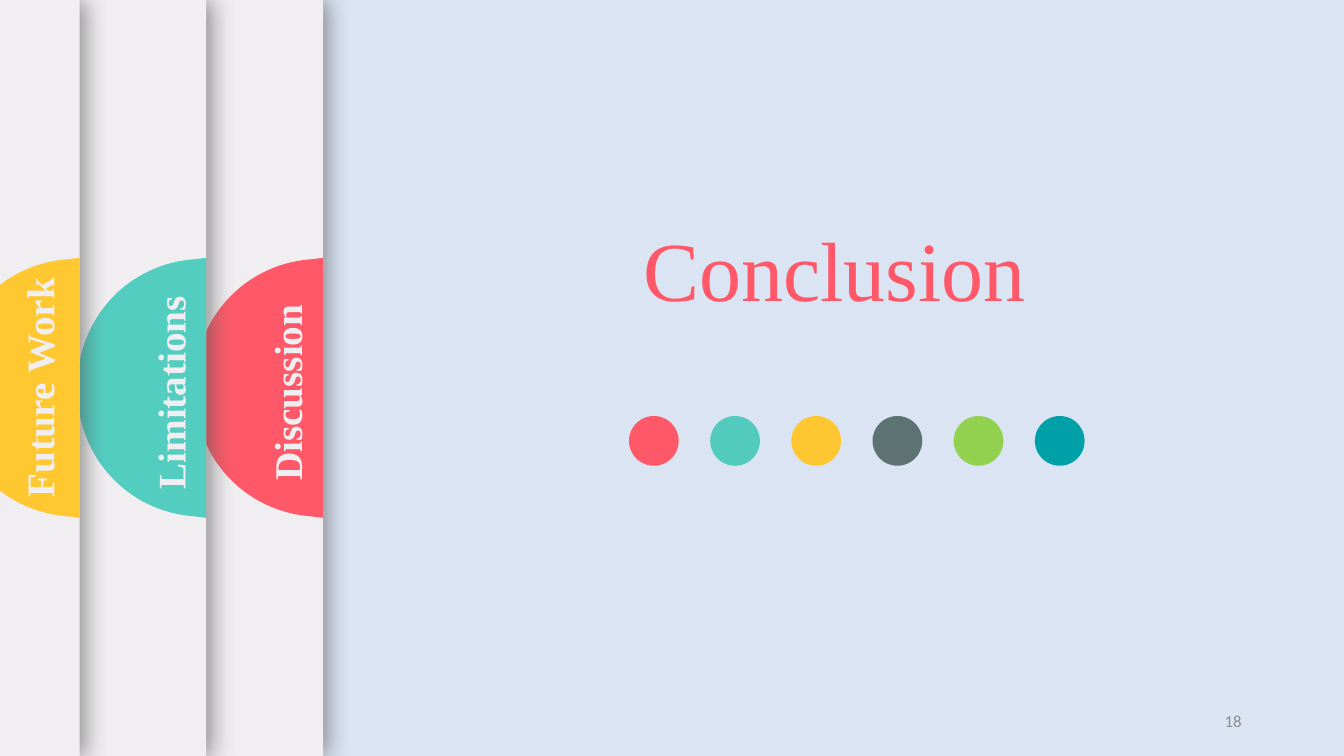
from dataclasses import dataclass

from lxml.etree import SubElement
from pptx import Presentation
from pptx.dml.color import RGBColor
from pptx.enum.shapes import MSO_SHAPE
from pptx.enum.text import MSO_ANCHOR, MSO_AUTO_SIZE, PP_ALIGN
from pptx.oxml.ns import qn
from pptx.shapes.autoshape import Shape
from pptx.shapes.shapetree import GroupShapes, SlideShapes
from pptx.util import Inches, Length, Pt

SLIDE_WIDTH, SLIDE_HEIGHT = Inches(13.333), Inches(7.5)


@dataclass(frozen=True)
class Theme:
    background: str = "DBE4F3"
    panel: str = "F0EEF0"
    shadow: str = "595959"
    title: str = "FF5969"
    page_number: str = "8C8C8C"
    dots: tuple[str, ...] = ("FF5969", "52CBBE", "FEC630", "5D7373", "92D050", "00A0A8")
    heading_font: str = "Times New Roman"
    number_font: str = "Calibri"
    title_size: int = 60
    label_size: int = 28
    number_size: int = 12


@dataclass(frozen=True)
class Box:
    """Left and width in percent of slide width, top and height in percent of its height."""
    left: float
    top: float
    width: float
    height: float

    def emu(self) -> tuple[Length, Length, Length, Length]:
        return across(self.left), down(self.top), across(self.width), down(self.height)


@dataclass(frozen=True)
class TextStyle:
    font: str
    size: int
    color: str
    align: PP_ALIGN = PP_ALIGN.CENTER
    bold: bool = False


@dataclass(frozen=True)
class Panel:
    label: str
    color: str
    right: float
    width: float
    label_inset: float
    label_length: float


THEME = Theme()
TITLE_STYLE = TextStyle(THEME.heading_font, THEME.title_size, THEME.title)
LABEL_STYLE = TextStyle(THEME.heading_font, THEME.label_size, THEME.panel, bold=True)
NUMBER_STYLE = TextStyle(THEME.number_font, THEME.number_size, THEME.page_number, PP_ALIGN.RIGHT)

TITLE_BOX = Box(32.25, 28.13, 59.7, 14.8)
NUMBER_BOX = Box(70.62, 92.67, 22.5, 5.33)
FIRST_DOT = Box(46.8, 55.03, 3.7, 6.58)
DOT_PITCH = 6.04
TAB_WIDTH, TAB_HEIGHT, TAB_MIDDLE = 9.6, 34.4, 51.3
TAB_FLAT = 0.9
LABEL_HEIGHT = 7.6
CURVE_PULL = 0.55

PANELS = (
    Panel("Discussion ", "FF5969", 24.04, 102.38, 2.7, 16.35),
    Panel("Limitations ", "52CDC0", 15.34, 93.9, 2.68, 18),
    Panel("Future Work", "FFC730", 5.93, 81.68, 3.04, 21.08),
)


def across(percent: float) -> Length:
    return Length(round(SLIDE_WIDTH * percent / 100))


def down(percent: float) -> Length:
    return Length(round(SLIDE_HEIGHT * percent / 100))


def paint(shape: Shape, color: str) -> None:
    shape.shadow.inherit = False
    shape.fill.solid()
    shape.fill.fore_color.rgb = RGBColor.from_string(color)
    shape.line.fill.background()


def add_filled(shapes: GroupShapes, kind: MSO_SHAPE, box: Box, color: str) -> Shape:
    shape = shapes.add_shape(kind, *box.emu())
    paint(shape, color)
    return shape


def add_text(shapes: SlideShapes | GroupShapes, text: str, box: Box, style: TextStyle) -> Shape:
    text_box = shapes.add_textbox(*box.emu())
    frame = text_box.text_frame
    frame.word_wrap = True
    paragraph = frame.paragraphs[0]
    paragraph.text = text
    paragraph.alignment = style.align
    paragraph.font.name = style.font
    paragraph.font.size = Pt(style.size)
    paragraph.font.bold = style.bold
    paragraph.font.color.rgb = RGBColor.from_string(style.color)
    return text_box


def cast_shadow_right(shape: Shape) -> None:
    effects = shape._element.spPr.find(qn("a:effectLst"))
    shadow = SubElement(effects, qn("a:outerShdw"), blurRad=str(Pt(17)), dist=str(Pt(3)),
                        dir="0", algn="l", rotWithShape="0")
    color = SubElement(shadow, qn("a:srgbClr"), val=THEME.shadow)
    SubElement(color, qn("a:alpha"), val="65000")


def bend_segments(shape: Shape, first: int) -> None:
    """Merge every three line segments from the given one on into a cubic curve."""
    segments = list(shape._element.iter(qn("a:lnTo")))[first:]
    for start in range(0, len(segments), 3):
        curve, *rest = segments[start:start + 3]
        curve.tag = qn("a:cubicBezTo")
        for segment in rest:
            curve.append(segment[0])
            segment.getparent().remove(segment)


def add_half_round_tab(shapes: GroupShapes, right: float, color: str) -> None:
    """Draw a half circle bulging left from the panel's right edge."""
    radius = TAB_HEIGHT / 2
    top, bottom = TAB_MIDDLE - radius, TAB_MIDDLE + radius
    left, flat = right - TAB_WIDTH, right - TAB_FLAT
    bend = flat - CURVE_PULL * (TAB_WIDTH - TAB_FLAT)
    pull, edge_drop = CURVE_PULL * radius, 0.2
    points = [
        (right, top), (right, bottom), (flat, bottom - edge_drop),
        (bend, bottom - 4 * edge_drop), (left, TAB_MIDDLE + pull), (left, TAB_MIDDLE),
        (left, TAB_MIDDLE - pull), (bend, top + 4 * edge_drop), (flat, top + edge_drop),
    ]
    corners = [(across(x), down(y)) for x, y in points]
    outline = shapes.build_freeform(*corners[0])
    outline.add_line_segments(corners[1:], close=True)
    tab = outline.convert_to_shape()
    bend_segments(tab, first=2)
    paint(tab, color)


def add_panel(slide_shapes: SlideShapes, panel: Panel) -> None:
    shapes = slide_shapes.add_group_shape().shapes
    sheet = Box(panel.right - panel.width, 0, panel.width, 100)
    cast_shadow_right(add_filled(shapes, MSO_SHAPE.RECTANGLE, sheet, THEME.panel))
    add_half_round_tab(shapes, panel.right, panel.color)
    label_box = Box(panel.right - panel.label_inset - panel.label_length / 2,
                    TAB_MIDDLE - LABEL_HEIGHT / 2, panel.label_length, LABEL_HEIGHT)
    label = add_text(shapes, panel.label, label_box, LABEL_STYLE)
    label.text_frame.auto_size = MSO_AUTO_SIZE.SHAPE_TO_FIT_TEXT
    label.rotation = 270


def add_dots(slide_shapes: SlideShapes) -> None:
    shapes = slide_shapes.add_group_shape().shapes
    for column, color in enumerate(THEME.dots):
        dot = Box(FIRST_DOT.left + column * DOT_PITCH, FIRST_DOT.top,
                  FIRST_DOT.width, FIRST_DOT.height)
        add_filled(shapes, MSO_SHAPE.OVAL, dot, color)


def main() -> None:
    deck = Presentation()
    deck.slide_width, deck.slide_height = SLIDE_WIDTH, SLIDE_HEIGHT
    slide = deck.slides.add_slide(deck.slide_layouts[6])
    slide.background.fill.solid()
    slide.background.fill.fore_color.rgb = RGBColor.from_string(THEME.background)

    title = add_text(slide.shapes, "Conclusion", TITLE_BOX, TITLE_STYLE)
    title.text_frame.auto_size = MSO_AUTO_SIZE.SHAPE_TO_FIT_TEXT
    add_dots(slide.shapes)
    for panel in PANELS:
        add_panel(slide.shapes, panel)
    number = add_text(slide.shapes, "18", NUMBER_BOX, NUMBER_STYLE)
    number.text_frame.vertical_anchor = MSO_ANCHOR.MIDDLE
    deck.save("out.pptx")


if __name__ == "__main__":
    main()
